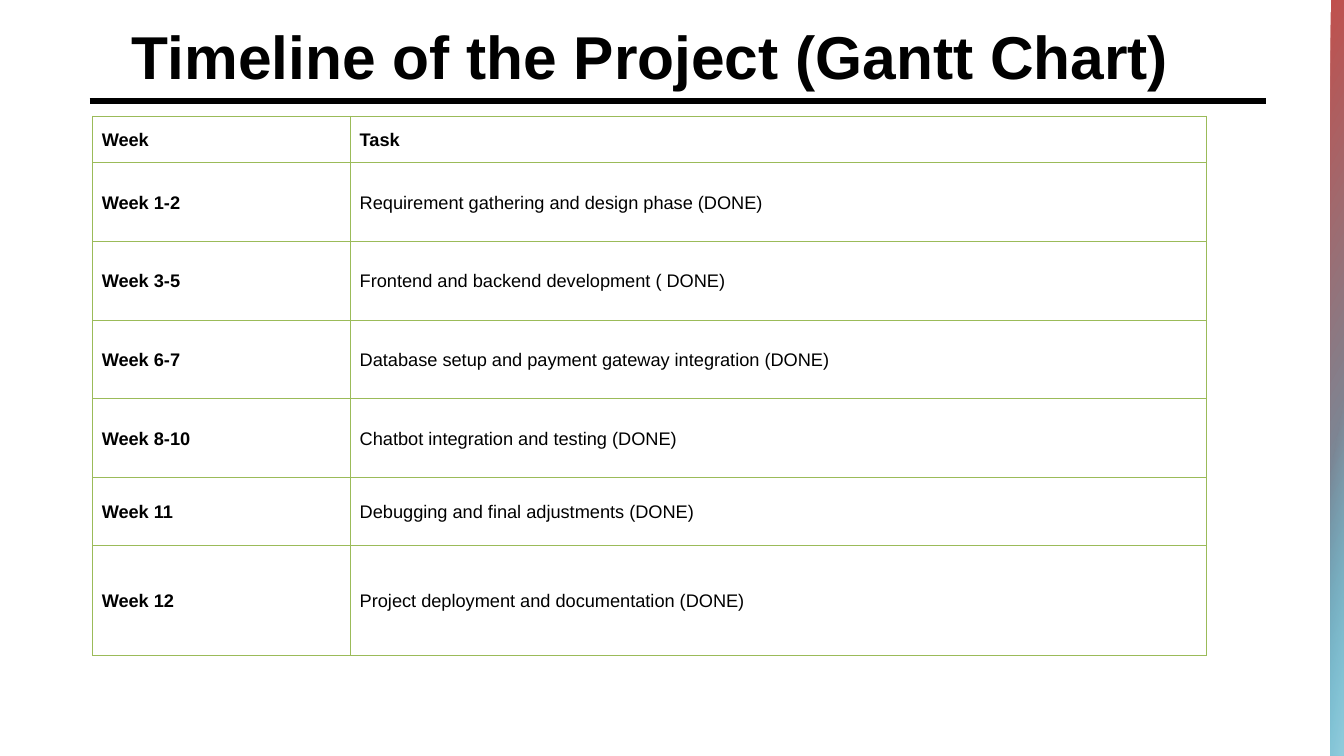
"""Build the project timeline slide: a title over a table of weeks and tasks."""
from dataclasses import dataclass

from lxml import etree
from pptx import Presentation
from pptx import util as u
from pptx.dml.color import RGBColor
from pptx.enum import shapes, text
from pptx.oxml import ns

FONT = "Arial"
BLACK, GREEN = "000000", "9BBB59"
SLIDE_W, SLIDE_H = 960, 540


@dataclass
class Phase:
    week: str
    task: str
    height: float = 56.3
    bold_task: bool = False


@dataclass
class Band:
    top: float
    angle: int
    start: float
    colors: tuple[str, str]
    fades_in: bool = False


PHASES = [
    Phase("Week", "Task", 33, bold_task=True),
    Phase("Week 1-2", "Requirement gathering and design phase (DONE)"),
    Phase("Week 3-5", "Frontend and backend development ( DONE)"),
    Phase("Week 6-7", "Database setup and payment gateway integration (DONE)"),
    Phase("Week 8-10", "Chatbot integration and testing (DONE)"),
    Phase("Week 11", "Debugging and final adjustments (DONE)", 48.7),
    Phase("Week 12", "Project deployment and documentation (DONE)", 78.5),
]
COLUMN_WIDTHS = [184.3, 611.3]
BANDS = [
    Band(0, 30, 0, ("C0504D", "4BACC6")),
    Band(278, 10, 0.19, ("93CDDD", "93CDDD"), fades_in=True),
]


def rgb(value: str) -> RGBColor:
    return RGBColor.from_string(value)


def write(tf, content: str, *, size: float, bold: bool, spacing, color: str = BLACK) -> None:
    p = tf.paragraphs[0]
    p.alignment = text.PP_ALIGN.LEFT
    p.line_spacing = spacing
    p.space_before = p.space_after = u.Pt(0)
    r = p.add_run()
    r.text = content
    r.font.name, r.font.size, r.font.bold = FONT, u.Pt(size), bold
    r.font.color.rgb = rgb(color)


def add_title(s, content: str) -> None:
    sp = s.shapes.title
    sp.left, sp.top, sp.width, sp.height = map(u.Pt, (87, 13, 803.5, 59.8))
    tf = sp.text_frame
    tf.word_wrap = True
    tf.auto_size = text.MSO_AUTO_SIZE.NONE
    tf.vertical_anchor = text.MSO_ANCHOR.MIDDLE
    write(tf, content, size=43.2, bold=True, spacing=0.9)


def add_rule(s) -> None:
    line = s.shapes.add_connector(
        shapes.MSO_CONNECTOR.STRAIGHT, u.Pt(64), u.Pt(72), u.Pt(904.3), u.Pt(72))
    line.line.color.rgb = rgb(BLACK)
    line.line.width = u.Pt(4.5)
    etree.SubElement(line._element.spPr, ns.qn("a:effectLst"))


def add_band(group, band: Band) -> None:
    left = 950.4
    sp = group.shapes.add_shape(
        shapes.MSO_SHAPE.RECTANGLE, u.Pt(left), u.Pt(band.top),
        u.Pt(SLIDE_W - left), u.Pt(SLIDE_H - band.top))
    sp.shadow.inherit = False
    sp.line.fill.background()
    sp.fill.gradient()
    sp.fill.gradient_angle = 360 - band.angle
    stops = sp.fill.gradient_stops
    for stop, position, color in zip(stops, (band.start, 1), band.colors):
        stop.position = position
        stop.color.rgb = rgb(color)
    if band.fades_in:
        first = sp._element.spPr.find(".//" + ns.qn("a:srgbClr"))
        etree.SubElement(first, ns.qn("a:alpha"), val="0")


def add_borders(cell, color: str, width: float) -> None:
    tc_pr = cell._tc.get_or_add_tcPr()
    for side in "LRTB":
        ln = etree.SubElement(tc_pr, ns.qn(f"a:ln{side}"), w=str(u.Pt(width)))
        fill = etree.SubElement(ln, ns.qn("a:solidFill"))
        etree.SubElement(fill, ns.qn("a:srgbClr"), val=color)


def fill_cell(cell, content: str, bold: bool) -> None:
    add_borders(cell, GREEN, 0.75)
    cell.fill.background()
    cell.vertical_anchor = text.MSO_ANCHOR.MIDDLE
    cell.margin_left = cell.margin_right = u.Pt(6.5)
    cell.margin_top = cell.margin_bottom = u.Pt(3.6)
    write(cell.text_frame, content, size=13, bold=bold, spacing=u.Pt(15.8))


def add_timeline(s, phases: list[Phase]) -> None:
    height = sum(phase.height for phase in phases)
    table = s.shapes.add_table(
        len(phases), len(COLUMN_WIDTHS), u.Pt(66.2), u.Pt(83),
        u.Pt(sum(COLUMN_WIDTHS)), u.Pt(height)).table
    table.first_row = table.horz_banding = False
    for column, width in zip(table.columns, COLUMN_WIDTHS):
        column.width = u.Pt(width)
    for row, phase in zip(table.rows, phases):
        row.height = u.Pt(phase.height)
        fill_cell(row.cells[0], phase.week, True)
        fill_cell(row.cells[1], phase.task, phase.bold_task)


def main() -> None:
    prs = Presentation()
    prs.slide_width, prs.slide_height = u.Pt(SLIDE_W), u.Pt(SLIDE_H)
    s = prs.slides.add_slide(prs.slide_layouts[5])
    add_rule(s)
    add_title(s, "Timeline of the Project (Gantt Chart)")
    group = s.shapes.add_group_shape()
    for band in BANDS:
        add_band(group, band)
    add_timeline(s, PHASES)
    prs.save("out.pptx")


if __name__ == "__main__":
    main()
